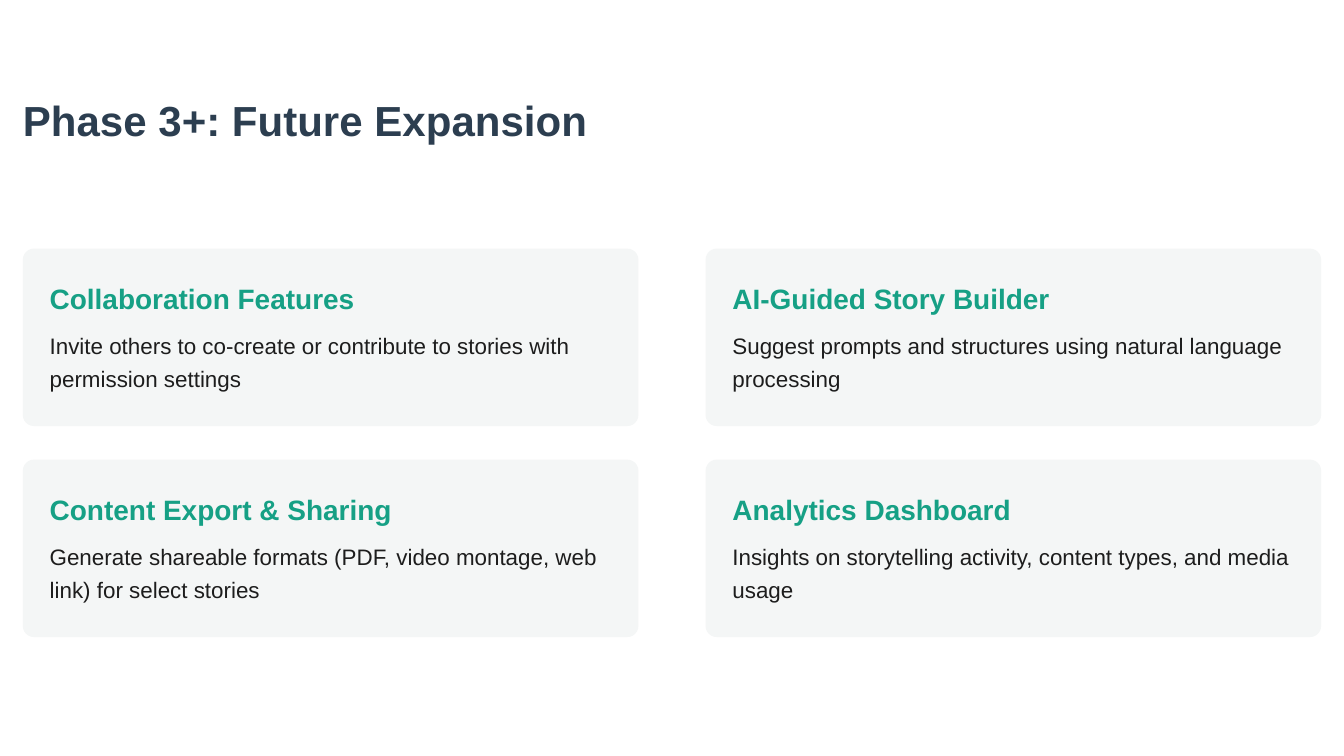
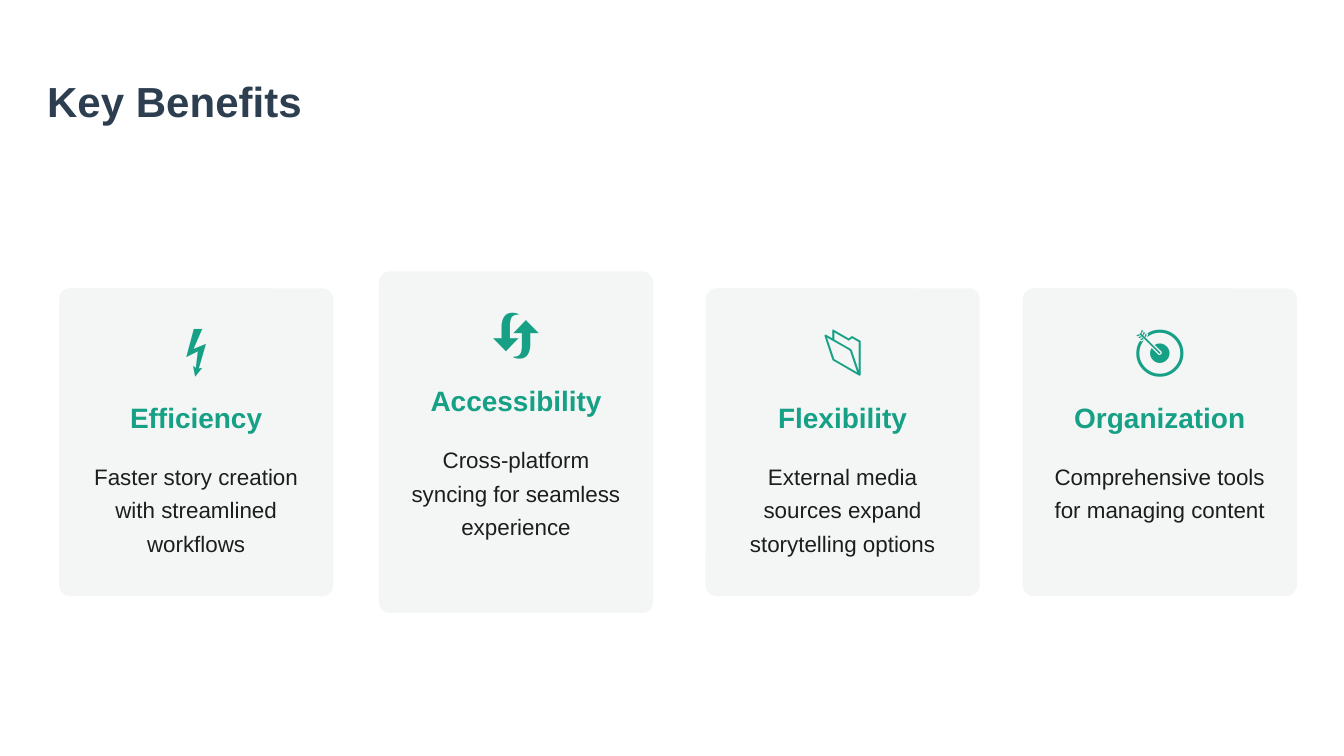
from pptx import Presentation
from pptx.dml.color import RGBColor
from pptx.enum import shapes, text
from pptx.util import Inches, Pt

EXPANSION_TITLE = "Phase 3+: Future Expansion"
EXPANSIONS = [
    ("Collaboration Features",
     "Invite others to co-create or contribute to stories with permission settings"),
    ("Content Export & Sharing",
     "Generate shareable formats (PDF, video montage, web link) for select stories"),
    ("AI-Guided Story Builder",
     "Suggest prompts and structures using natural language processing"),
    ("Analytics Dashboard",
     "Insights on storytelling activity, content types, and media usage"),
]

BENEFITS_TITLE = "Key Benefits"
BENEFITS = [
    {"icon": "⚡", "heading": "Efficiency", "heading_width": 1.0,
     "left": 0.44, "height": 2.29,
     "body": "Faster story creation with streamlined workflows"},
    {"icon": "🔄", "heading": "Accessibility", "heading_width": 1.3,
     "left": 2.82, "height": 2.54,
     "body": "Cross-platform syncing for seamless experience"},
    {"icon": "📂", "heading": "Flexibility", "heading_width": 0.98,
     "left": 5.25, "height": 2.29,
     "body": "External media sources expand storytelling options"},
    {"icon": "🎯", "heading": "Organization", "heading_width": 1.3,
     "left": 7.61, "height": 2.29,
     "body": "Comprehensive tools for managing content"},
]

LEFT, CENTER = text.PP_ALIGN.LEFT, text.PP_ALIGN.CENTER
THEME = {
    "font": "Arial",
    "background": "FFFFFF",
    "card": "F4F6F6",
    "radius": 0.083,
    "title": {"size": 22.5, "bold": True, "color": "2C3E50", "line": 27},
    "icon": {"size": 27, "bold": True, "color": "16A085", "line": 30},
    "heading": {"size": 15, "bold": True, "color": "16A085", "line": 21},
    "body": {"size": 12, "bold": False, "color": "1D1D1D", "line": 18,
             "before": 3, "after": 3},
}


def place(box, left, top, width, height):
    frame = {"left": left, "top": top, "width": width, "height": height}
    for name, value in frame.items():
        setattr(box, name, Inches(value))


def write(box, words, style, align=LEFT, wrap=True):
    look = THEME[style]
    frame = box.text_frame
    frame_format = {
        "margin_left": 0, "margin_top": 0, "margin_right": 0, "margin_bottom": 0,
        "word_wrap": wrap, "auto_size": text.MSO_AUTO_SIZE.NONE,
        "vertical_anchor": text.MSO_ANCHOR.TOP,
    }
    para = frame.paragraphs[0]
    para_format = {
        "alignment": align, "line_spacing": Pt(look["line"]),
        "space_before": Pt(look.get("before", 0)),
        "space_after": Pt(look.get("after", 0)),
    }
    span = para.add_run()
    span.text = words
    span_format = {"name": THEME["font"], "size": Pt(look["size"]), "bold": look["bold"]}
    for target, values in ((frame, frame_format), (para, para_format),
                           (span.font, span_format)):
        for name, value in values.items():
            setattr(target, name, value)
    span.font.color.rgb = RGBColor.from_string(look["color"])


def add_page(deck, title, left, top):
    page = deck.slides.add_slide(deck.slide_layouts[5])
    page.background.fill.solid()
    page.background.fill.fore_color.rgb = RGBColor.from_string(THEME["background"])
    place(page.shapes.title, left, top, 5.11, 0.38)
    write(page.shapes.title, title, "title")
    return page


def add_card(page, left, top, width, height):
    card = page.shapes.add_shape(
        shapes.MSO_SHAPE.ROUNDED_RECTANGLE,
        *map(Inches, (left, top, width, height)))
    card.adjustments[0] = THEME["radius"] / min(width, height)
    card.fill.solid()
    card.fill.fore_color.rgb = RGBColor.from_string(THEME["card"])
    card.line.fill.background()
    card.shadow.inherit = False


def add_text(page, words, style, left, top, width, height, **options):
    box = page.shapes.add_textbox(*map(Inches, (left, top, width, height)))
    write(box, words, style, **options)


def build_expansion(deck):
    page = add_page(deck, EXPANSION_TITLE, 0.17, 0.7)
    for index, (heading, body) in enumerate(EXPANSIONS):
        column, row = divmod(index, 2)
        left, top = 0.17 + 5.08 * column, 1.85 + 1.57 * row
        add_card(page, left, top, 4.58, 1.32)
        add_text(page, heading, "heading", left + 0.2, top + 0.2, 4.27, 0.29)
        add_text(page, body, "body", left + 0.2, top + 0.57, 4.27, 0.5)


def build_benefits(deck):
    page = add_page(deck, BENEFITS_TITLE, 0.35, 0.56)
    card_width, middle = 2.04, 3.29
    for benefit in BENEFITS:
        left, height = benefit["left"], benefit["height"]
        top = middle - height / 2
        add_card(page, left, top, card_width, height)
        parts = [
            ("icon", 0.25, 0.48, 0.42),
            ("heading", 0.79, benefit["heading_width"], 0.29),
            ("body", 1.25, 1.57, height - 1.54),
        ]
        for style, drop, width, part_height in parts:
            add_text(page, benefit[style], style,
                     left + (card_width - width) / 2, top + drop, width, part_height,
                     align=CENTER, wrap=style == "body")


def main():
    deck = Presentation()
    deck.slide_width = Inches(10)
    deck.slide_height = deck.slide_width * 9 // 16
    build_expansion(deck)
    build_benefits(deck)
    deck.save("out.pptx")


if __name__ == "__main__":
    main()
